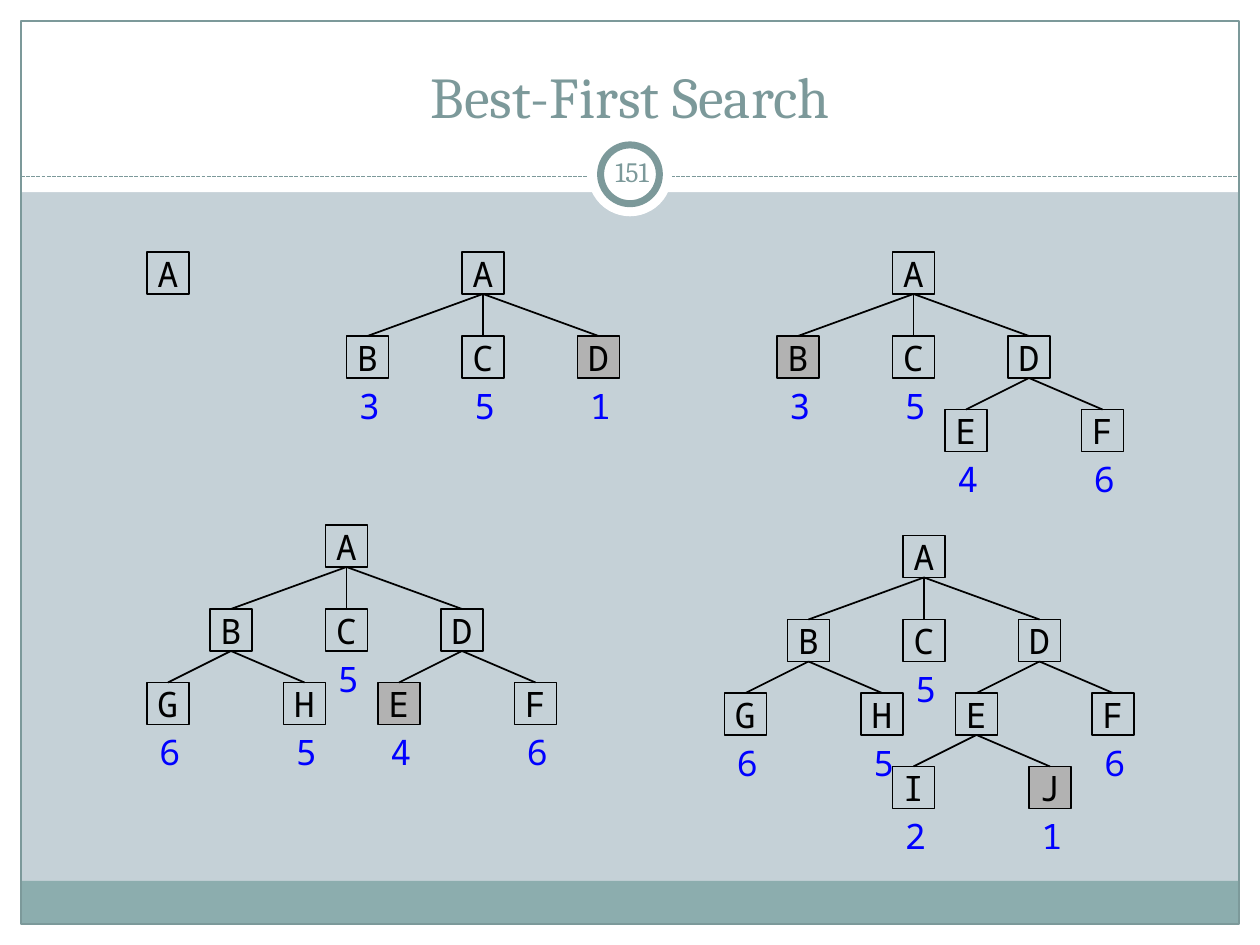
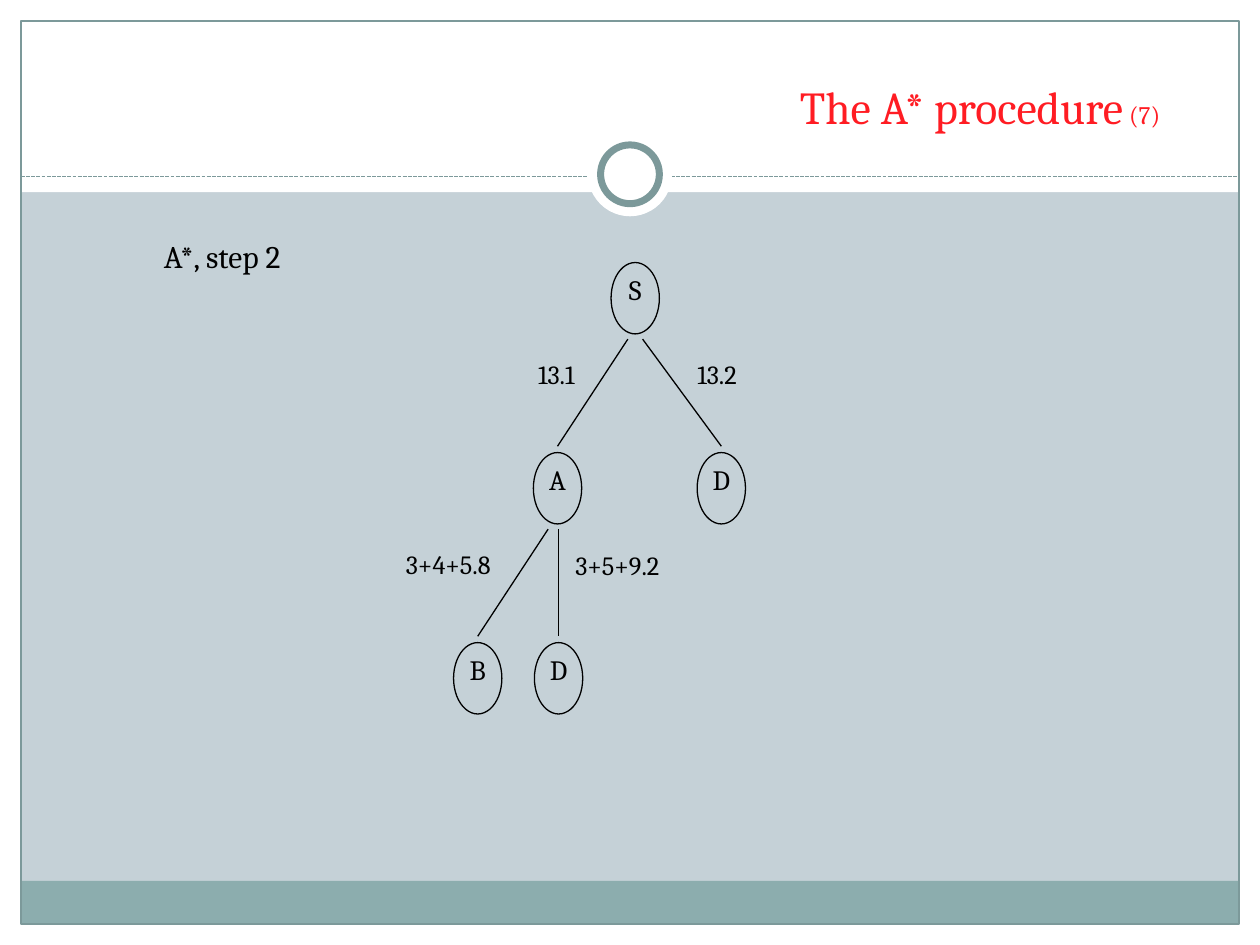
from lxml import etree
from pptx import Presentation
from pptx.dml.color import RGBColor
from pptx.enum.dml import MSO_LINE
from pptx.enum.shapes import MSO_CONNECTOR, MSO_SHAPE
from pptx.enum.text import MSO_ANCHOR, PP_ALIGN
from pptx.oxml.ns import qn
from pptx.util import Emu, Pt

SCALE = 7620  # EMU per px, 120 px to the inch
WIDE, HIGH = 1200, 900

RECT, OVAL = MSO_SHAPE.RECTANGLE, MSO_SHAPE.OVAL
LINE = MSO_CONNECTOR.STRAIGHT
DASH = MSO_LINE.SQUARE_DOT
LEFT, MID, RIGHT = PP_ALIGN.LEFT, PP_ALIGN.CENTER, PP_ALIGN.RIGHT
TOP, CENTER, BASE = MSO_ANCHOR.TOP, MSO_ANCHOR.MIDDLE, MSO_ANCHOR.BOTTOM

BACK, WHITE, BLACK = "C5D1D7", "FFFFFF", "000000"
TEAL, BAND, GREY = "7C999A", "8CADAE", "B2B2B2"
BLUE, RED = "0000FF", "FF1C23"
SERIF, MONO = "Cambria", "Noto Sans Mono"

BOX = 40  # side of a search tree node
ROUND = (46, 68)  # size of an A* node

# Child offsets from the parent, by number of children
SPREAD = {
    2: [(-60, 70), (70, 70)],
    3: [(-110, 80), (0, 80), (110, 80)],
}

# (left, top, node to expand next, children of each node, costs of the leaves)
TREES = [
    (140, 240, "", {}, {}),
    (440, 240, "D", {"A": "BCD"}, {"B": 3, "C": 5, "D": 1}),
    (850, 240, "B", {"A": "BCD", "D": "EF"},
     {"B": 3, "C": 5, "E": 4, "F": 6}),
    (310, 500, "E", {"A": "BCD", "B": "GH", "D": "EF"},
     {"C": 5, "G": 6, "H": 5, "E": 4, "F": 6}),
    (860, 510, "J", {"A": "BCD", "B": "GH", "D": "EF", "E": "IJ"},
     {"C": 5, "G": 6, "H": 5, "F": 6, "I": 2, "J": 1}),
]


def px(*nums):
    return [Emu(n * SCALE) for n in nums]


def paint(code):
    return RGBColor.from_string(code)


class Deck:
    """Holds the style and the current slide."""

    def __init__(self):
        self.prs = Presentation()
        self.prs.slide_width, self.prs.slide_height = px(WIDE, HIGH)
        self.slide = None

    def page(self):
        """Start a slide with the shared bands, frame and ring."""
        self.slide = self.prs.slides.add_slide(self.prs.slide_layouts[6])
        fill = self.slide.background.fill
        fill.solid()
        fill.fore_color.rgb = paint(BACK)
        for spot in [(0, 880, WIDE, 20), (0, 0, WIDE, 183),
                     (0, 0, 20, HIGH), (1180, 0, 20, HIGH)]:
            self.shape(RECT, *spot, fill=WHITE)
        self.shape(RECT, 20, 839, 1159, 41, fill=BAND)
        self.shape(RECT, 20, 20, 1160, 860, line=TEAL)
        self.line(20, 168, 1180, 168, color=TEAL, dash=DASH)
        self.shape(OVAL, 560, 126, 80, 80, fill=WHITE)
        self.shape(OVAL, 572, 138, 56, 56, fill=WHITE, line=TEAL, width=4)

    def shape(self, kind, x, y, w, h, fill=None, line=None, width=0.75):
        item = self.slide.shapes.add_shape(kind, *px(x, y, w, h))
        item.shadow.inherit = False
        if fill:
            item.fill.solid()
            item.fill.fore_color.rgb = paint(fill)
        else:
            item.fill.background()
        if line:
            item.line.color.rgb = paint(line)
            item.line.width = Pt(width)
        else:
            item.line.fill.background()
        return item

    def line(self, x1, y1, x2, y2, color=BLACK, width=0.75, dash=None):
        item = self.slide.shapes.add_connector(LINE, *px(x1, y1, x2, y2))
        item.line.color.rgb = paint(color)
        item.line.width = Pt(width)
        if dash:
            item.line.dash_style = dash
        etree.SubElement(item._element.spPr, qn("a:effectLst"))
        return item

    def join(self, top, low):
        """Link the bottom of one box to the top of another."""
        item = self.line(0, 0, 0, 0, width=1)
        item.begin_connect(top, 2)
        item.end_connect(low, 0)

    def text(self, item, words, size=16, font=SERIF, color=BLACK, align=MID,
             anchor=TOP, wrap=True, inset=None):
        """Add a run to the first paragraph of a shape."""
        frame = item.text_frame
        frame.word_wrap = wrap
        frame.vertical_anchor = anchor
        if inset is not None:
            frame.margin_left, frame.margin_right = px(inset, inset)
            frame.margin_top, frame.margin_bottom = px(min(inset, 6), min(inset, 6))
        para = frame.paragraphs[0]
        para.alignment = align
        run = para.add_run()
        run.text = words
        run.font.size = Pt(size)
        run.font.name = font
        run.font.color.rgb = paint(color)

    def label(self, words, x, y, w, h, **form):
        item = self.slide.shapes.add_textbox(*px(x, y, w, h))
        self.text(item, words, **form)
        return item

    def tree(self, name, x, y, pick, kids, costs):
        """Draw a node with all that hangs below it."""
        node = self.shape(RECT, x, y, BOX, BOX, line=BLACK, width=1,
                          fill=GREY if name == pick else None)
        self.text(node, name, size=20, font=MONO, anchor=CENTER, wrap=False)
        if name in costs:
            self.label(str(costs[name]), x, y + BOX, 50, 52, size=20,
                       font=MONO, color=BLUE, align=LEFT)
        below = kids.get(name, "")
        for kid, (dx, dy) in zip(below, SPREAD.get(len(below), [])):
            self.join(node, self.tree(kid, x + dx, y + dy, pick, kids, costs))
        return node

    def state(self, name, x, y):
        """Draw a round node and give its place."""
        node = self.shape(OVAL, x, y, *ROUND, line=BLACK)
        self.text(node, name, wrap=False, inset=0)
        return x, y

    def edge(self, top, low, shift):
        """Draw a line that stays a little clear of both round nodes."""
        half = ROUND[0] // 2
        self.line(top[0] + half + shift, top[1] + ROUND[1] + 5,
                  low[0] + half, low[1] - 6)


def best(deck):
    deck.page()
    deck.label("151", 572, 134, 60, 58, color=TEAL, anchor=CENTER, inset=6)
    deck.label("Best-First Search", 40, 30, 1120, 100, size=33, color=TEAL,
               anchor=BASE)
    for x, y, pick, kids, costs in TREES:
        deck.tree("A", x, y, pick, kids, costs)


def star(deck):
    deck.page()
    form = dict(color=RED, align=RIGHT, anchor=BASE, inset=11)
    title = deck.label("The A* procedure", 662, 72, 454, 61, size=26.1, **form)
    deck.text(title, " (7)", size=14.4, **form)
    deck.label("A*, step 2", 145, 220, 152, 47, size=18, align=LEFT, inset=11)

    rows = [250 + 181 * n for n in range(3)]
    start = deck.state("S", 582, rows[0])
    left = deck.state("A", 508, rows[1])
    right = deck.state("D", 664, rows[1])
    low = deck.state("B", 432, rows[2])
    last = deck.state("D", 509, rows[2])
    for top, end, shift in [(start, left, -7), (start, right, 7),
                            (left, low, -9), (left, last, 1)]:
        deck.edge(top, end, shift)
    for words, x, y, w in [("13.1", 494, 335, 72), ("13.2", 647, 335, 72),
                           ("3+4+5.8", 362, 516, 130),
                           ("3+5+9.2", 523, 517, 130)]:
        deck.label(words, x, y, w, 64, size=15)


def main():
    deck = Deck()
    best(deck)
    star(deck)
    deck.prs.save("out.pptx")


if __name__ == "__main__":
    main()
